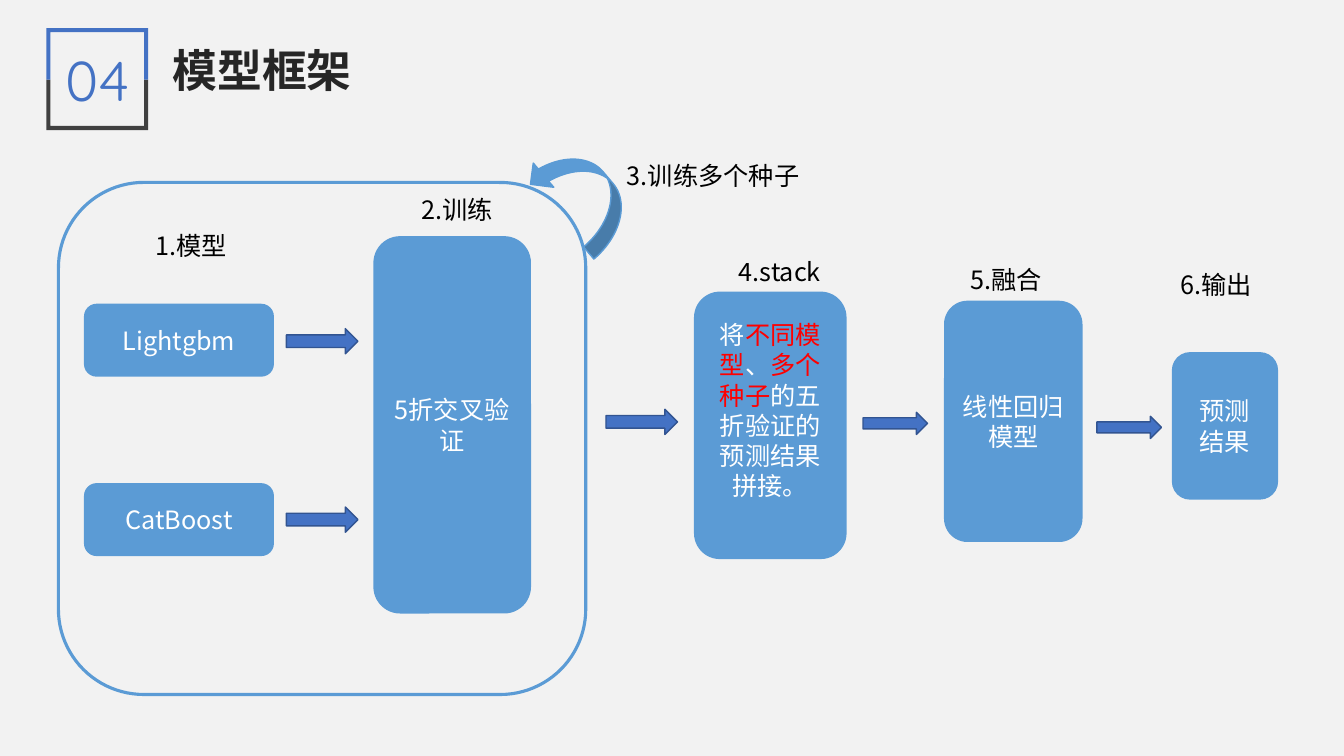
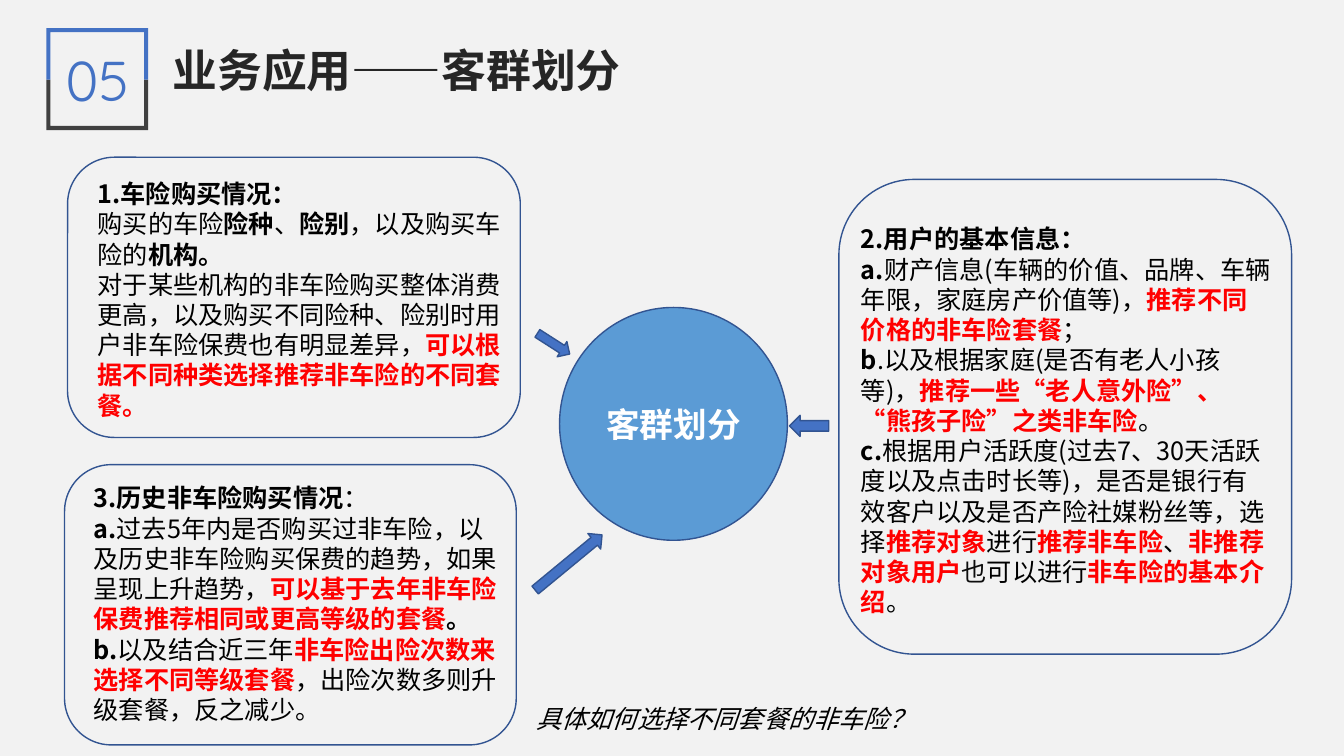
"""Build two slides on a model pipeline and on customer segmentation."""
import dataclasses
import typing

import lxml.etree
import pptx
import pptx.dml.color
import pptx.enum.lang
import pptx.enum.shapes
import pptx.enum.text
import pptx.oxml.ns
import pptx.shapes.autoshape
import pptx.slide
import pptx.text.text
import pptx.util

PX = 9144
FONT = "Noto Sans CJK SC"
BADGE_FONT = "Quicksand"
BACKGROUND, WHITE, BLACK, RED = "F2F2F2", "FFFFFF", "000000", "FF0000"
SKY, BLUE, NAVY = "5B9BD5", "4472C4", "325491"
DARK, TITLE_INK, SOFT_BLACK = "404040", "262626", "0D0D0D"
SHAPE = pptx.enum.shapes.MSO_SHAPE
ALIGN = pptx.enum.text.PP_ALIGN
ANCHOR = pptx.enum.text.MSO_ANCHOR
CHINESE = pptx.enum.lang.MSO_LANGUAGE_ID.SIMPLIFIED_CHINESE


class Area(typing.NamedTuple):
    left: int
    top: int
    width: int
    height: int


@dataclasses.dataclass(frozen=True)
class Span:
    text: str
    color: str = BLACK
    bold: bool = False
    italic: bool = False


@dataclasses.dataclass(frozen=True)
class Step:
    area: Area
    spans: list[Span]
    bottom_inset: int = 5


@dataclasses.dataclass(frozen=True)
class Arrow:
    area: Area
    rotation: float = 0


@dataclasses.dataclass(frozen=True)
class Label:
    area: Area
    text: str


@dataclasses.dataclass(frozen=True)
class Card:
    frame: Area
    text_area: Area
    paragraphs: list[list[Span]]


def rgb(value: str) -> pptx.dml.color.RGBColor:
    """Turn a hex string into a colour."""
    return pptx.dml.color.RGBColor.from_string(value)


def emu(area: Area) -> list[int]:
    """Scale an area from px to EMU."""
    return [length * PX for length in area]


def strong(text: str) -> Span:
    """Return a bold black span."""
    return Span(text, bold=True)


def key(text: str) -> Span:
    """Return a bold red span."""
    return Span(text, RED, True)


def format_run(run: pptx.text.text._Run, span: Span, size: int, name: str) -> None:
    """Give a run the look of its span."""
    font = run.font
    font.size, font.name = pptx.util.Pt(size), name
    font.bold, font.italic = span.bold, span.italic
    font.color.rgb = rgb(span.color)
    font.language_id = CHINESE
    latin = run._r.rPr.find(pptx.oxml.ns.qn("a:latin"))
    east_asian = lxml.etree.Element(pptx.oxml.ns.qn("a:ea"), typeface=name)
    latin.addnext(east_asian)


def write(frame: pptx.text.text.TextFrame, paragraphs: list[list[Span]], size: int = 18,
          align: ALIGN = ALIGN.LEFT, anchor: ANCHOR = ANCHOR.TOP,
          name: str = FONT, wrap: bool = True) -> None:
    """Fill a text frame with paragraphs of spans."""
    frame.text = "\n".join("" for _ in paragraphs)
    frame.word_wrap, frame.vertical_anchor = wrap, anchor
    for paragraph, spans in zip(frame.paragraphs, paragraphs):
        paragraph.alignment = align
        for span in spans:
            run = paragraph.add_run()
            run.text = span.text
            format_run(run, span, size, name)


def add_text(page: pptx.slide.Slide, area: Area, paragraphs: list[list[Span]],
             **style: typing.Any) -> None:
    """Add a text box."""
    write(page.shapes.add_textbox(*emu(area)).text_frame, paragraphs, **style)


def add_figure(page: pptx.slide.Slide, kind: SHAPE, area: Area, fill: str | None,
               line: str, weight: float = 1,
               rotation: float = 0) -> pptx.shapes.autoshape.Shape:
    """Add a preset shape, hollow when it has no fill colour."""
    figure = page.shapes.add_shape(kind, *emu(area))
    figure.shadow.inherit = False
    figure.rotation = rotation
    if fill:
        figure.fill.solid()
        figure.fill.fore_color.rgb = rgb(fill)
    else:
        figure.fill.background()
    figure.line.color.rgb = rgb(line)
    figure.line.width = pptx.util.Pt(weight)
    return figure


def add_step(page: pptx.slide.Slide, step: Step) -> None:
    """Add a filled box of the pipeline."""
    box = add_figure(page, SHAPE.ROUNDED_RECTANGLE, step.area, SKY, SKY)
    box.text_frame.margin_bottom = step.bottom_inset * PX
    write(box.text_frame, [step.spans], align=ALIGN.CENTER, anchor=ANCHOR.MIDDLE)


def add_arrow(page: pptx.slide.Slide, arrow: Arrow) -> None:
    """Add a block arrow."""
    add_figure(page, SHAPE.RIGHT_ARROW, arrow.area, BLUE, NAVY, rotation=arrow.rotation)


def add_card(page: pptx.slide.Slide, card: Card) -> None:
    """Add an outlined card with its text."""
    add_figure(page, SHAPE.ROUNDED_RECTANGLE, card.frame, None, NAVY)
    add_text(page, card.text_area, card.paragraphs)


def add_bracket(page: pptx.slide.Slide, outer: int, inner: int, color: str) -> None:
    """Add one half of the frame around the section number."""
    middle = 79
    builder = page.shapes.build_freeform(46, middle, scale=PX)
    builder.add_line_segments([(46, outer), (147, outer), (147, middle), (143, middle),
                               (143, inner), (50, inner), (50, middle)])
    bracket = builder.convert_to_shape()
    bracket.shadow.inherit = False
    bracket.fill.solid()
    bracket.fill.fore_color.rgb = rgb(color)
    bracket.line.fill.background()


def add_page(deck: pptx.presentation.Presentation, number: str, title: str,
             title_width: int) -> pptx.slide.Slide:
    """Add a slide with its section number and title."""
    page = deck.slides.add_slide(deck.slide_layouts[5])
    heading = page.shapes.title
    heading.left, heading.top, heading.width, heading.height = emu(Area(161, 37, title_width, 64))
    write(heading.text_frame, [[Span(title, TITLE_INK, True)]], size=32,
          anchor=ANCHOR.MIDDLE, wrap=False)
    add_bracket(page, 129, 125, DARK)
    add_bracket(page, 28, 32, BLUE)
    add_text(page, Area(46, 40, 101, 77), [[Span(number, BLUE)]], size=40,
             align=ALIGN.CENTER, name=BADGE_FONT)
    return page


STEPS = [
    Step(Area(84, 302, 187, 71), [Span("Lightgbm", WHITE)]),
    Step(Area(84, 480, 187, 71), [Span("CatBoost", WHITE)]),
    Step(Area(371, 235, 155, 373), [Span("5折交叉验证", WHITE)]),
    Step(Area(689, 290, 150, 264),
         [Span("将", WHITE), Span("不同模型", RED), Span("、", WHITE), Span("多个种子", RED),
          Span("的五折验证的预测结果拼接。", WHITE)], bottom_inset=35),
    Step(Area(937, 299, 136, 238), [Span("线性回归模型", WHITE)]),
    Step(Area(1163, 350, 104, 145), [Span("预测结果", WHITE)]),
]
STEP_ARROWS = [
    Arrow(Area(284, 326, 71, 25)),
    Arrow(Area(284, 503, 71, 25)),
    Arrow(Area(601, 406, 71, 25)),
    Arrow(Area(856, 409, 64, 22)),
    Arrow(Area(1088, 413, 64, 22)),
]
STEP_LABELS = [
    Label(Area(144, 224, 103, 40), "1.模型"),
    Label(Area(408, 188, 103, 40), "2.训练"),
    Label(Area(612, 154, 215, 40), "3.训练多个种子"),
    Label(Area(723, 249, 103, 40), "4.stack"),
    Label(Area(953, 257, 103, 40), "5.融合"),
    Label(Area(1161, 262, 103, 40), "6.输出"),
]
CARDS = [
    Card(Area(67, 156, 449, 278), Area(87, 172, 428, 252), [
        [strong("1.车险购买情况：")],
        [Span("购买的车险"), strong("险种"), Span("、"), strong("险别"),
         Span("，以及购买车险的"), strong("机构。")],
        [Span("对于某些机构的非车险购买整体消费更高，以及购买不同险种、险别时用户非车险保费也有明显差异，"),
         key("可以根据不同种类选择推荐非车险的不同套餐。")],
    ]),
    Card(Area(832, 178, 449, 471), Area(844, 217, 428, 404), [
        [strong("2.用户的基本信息：")],
        [strong("a."), Span("财产信息(车辆的价值、品牌、车辆年限，家庭房产价值等)，"),
         key("推荐不同价格的非车险套餐"), Span("；")],
        [strong("b"), Span(".以及根据家庭(是否有老人小孩等)，"),
         key("推荐一些“老人意外险”、“熊孩子险”之类非车险"), Span("。")],
        [strong("c."),
         Span("根据用户活跃度(过去7、30天活跃度以及点击时长等)，是否是银行有效客户以及是否产险社媒粉丝等，选择"),
         key("推荐对象"), Span("进行"), key("推荐非车险"), Span("、"), key("非推荐对象用户"),
         Span("也", SOFT_BLACK), Span("可以进行"), key("非车险的基本介绍"), Span("。")],
    ]),
    Card(Area(64, 461, 448, 278), Area(83, 474, 428, 283), [
        [strong("3.历史非车险购买情况"), Span("：")],
        [strong("a."),
         Span("过去5年内是否购买过非车险，以及历史非车险购买保费的趋势，如果呈现上升趋势，"),
         key("可以基于去年非车险保费推荐相同或更高等级的套餐"), strong("。")],
        [strong("b."), Span("以及结合近三年"), key("非车险出险次数来选择不同等级套餐"),
         Span("，出险次数多则升级套餐，反之减少。")],
    ]),
]
CARD_ARROWS = [
    Arrow(Area(530, 332, 38, 18), 32.6),
    Arrow(Area(521, 548, 86, 20), 320.5),
    Arrow(Area(783, 412, 39, 21), 180),
]


def build_pipeline(deck: pptx.presentation.Presentation) -> None:
    """Build the model pipeline slide."""
    page = add_page(deck, "04", "模型框架", 200)
    for step in STEPS:
        add_step(page, step)
    add_figure(page, SHAPE.ROUNDED_RECTANGLE, Area(58, 181, 523, 508), None, SKY, 2.25)
    add_figure(page, SHAPE.CURVED_UP_ARROW, Area(520, 162, 113, 63), SKY, SKY, rotation=229.7)
    for arrow in STEP_ARROWS:
        add_arrow(page, arrow)
    for label in STEP_LABELS:
        add_text(page, label.area, [[Span(label.text)]])


def build_segments(deck: pptx.presentation.Presentation) -> None:
    """Build the customer segmentation slide."""
    page = add_page(deck, "05", "业务应用——客群划分", 469)
    for card in CARDS:
        add_card(page, card)
    hub = add_figure(page, SHAPE.OVAL, Area(555, 305, 226, 231), SKY, NAVY)
    write(hub.text_frame, [[Span("客群划分", WHITE, True)]], size=24,
          align=ALIGN.CENTER, anchor=ANCHOR.MIDDLE)
    for arrow in CARD_ARROWS:
        add_arrow(page, arrow)
    add_text(page, Area(522, 693, 379, 40), [[Span("具体如何选择不同套餐的非车险？", italic=True)]])


def main() -> None:
    """Build and save the deck."""
    deck = pptx.Presentation()
    deck.slide_width, deck.slide_height = 1333 * PX, 750 * PX
    backdrop = deck.slide_master.background.fill
    backdrop.solid()
    backdrop.fore_color.rgb = rgb(BACKGROUND)
    build_pipeline(deck)
    build_segments(deck)
    deck.save("out.pptx")


if __name__ == "__main__":
    main()
